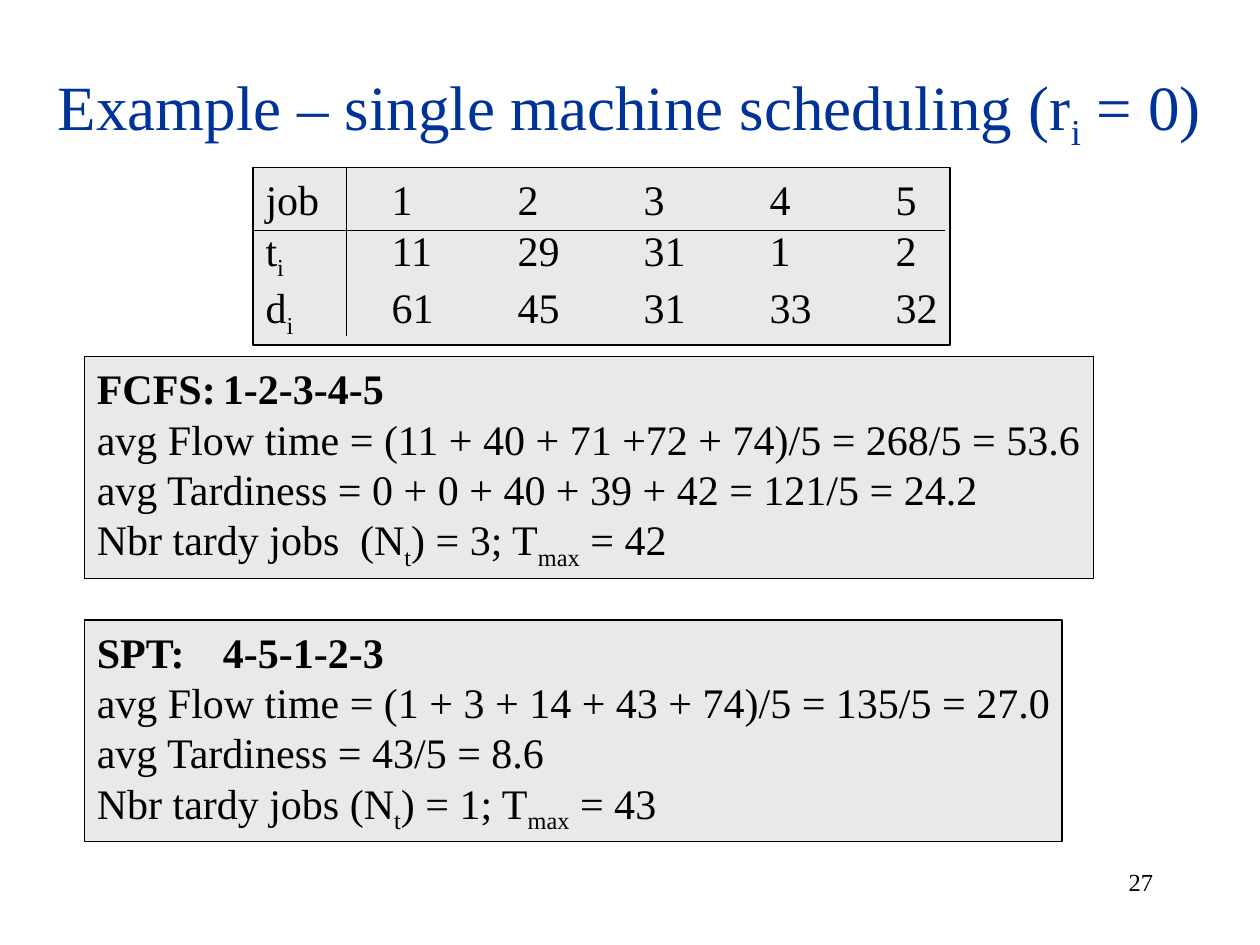
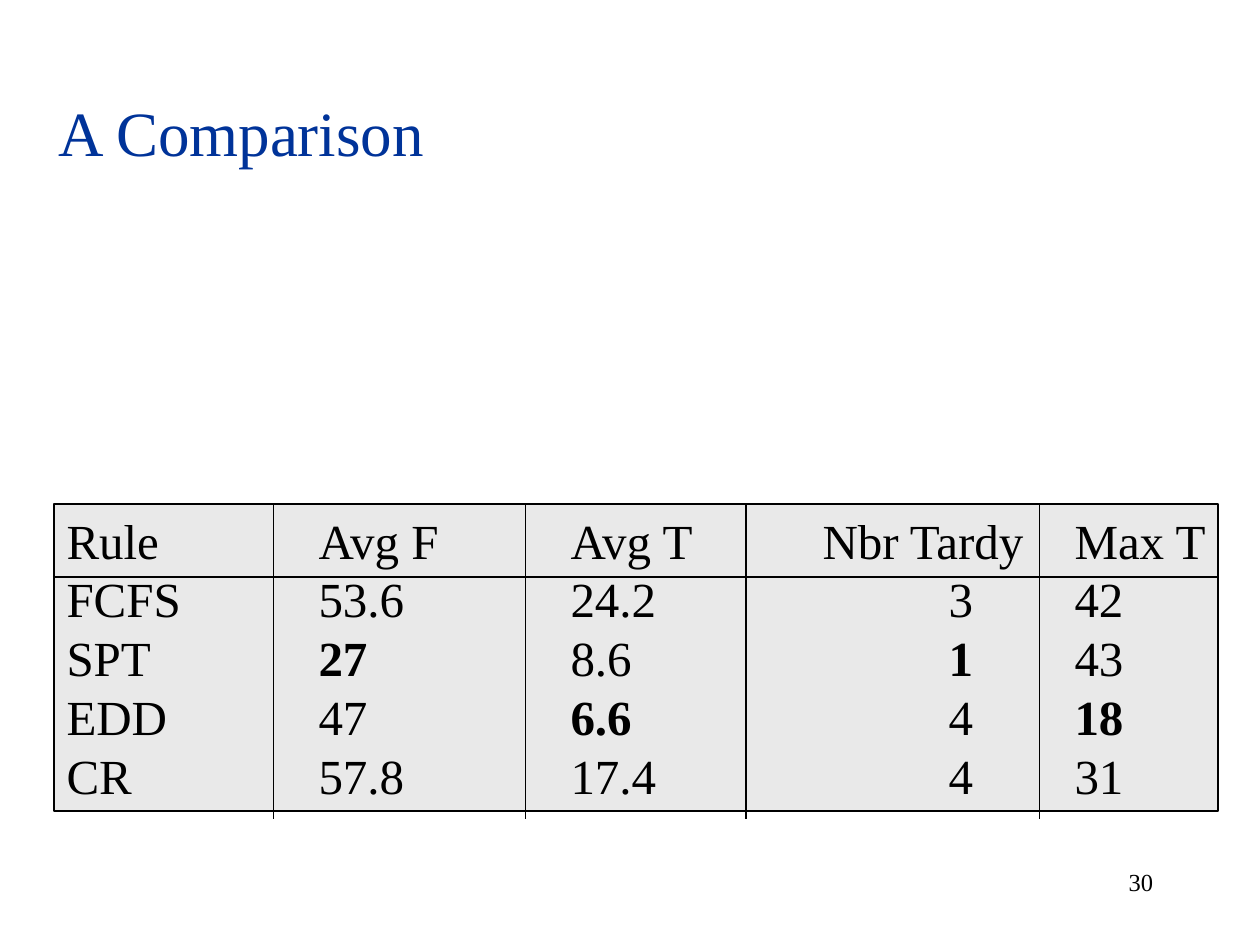
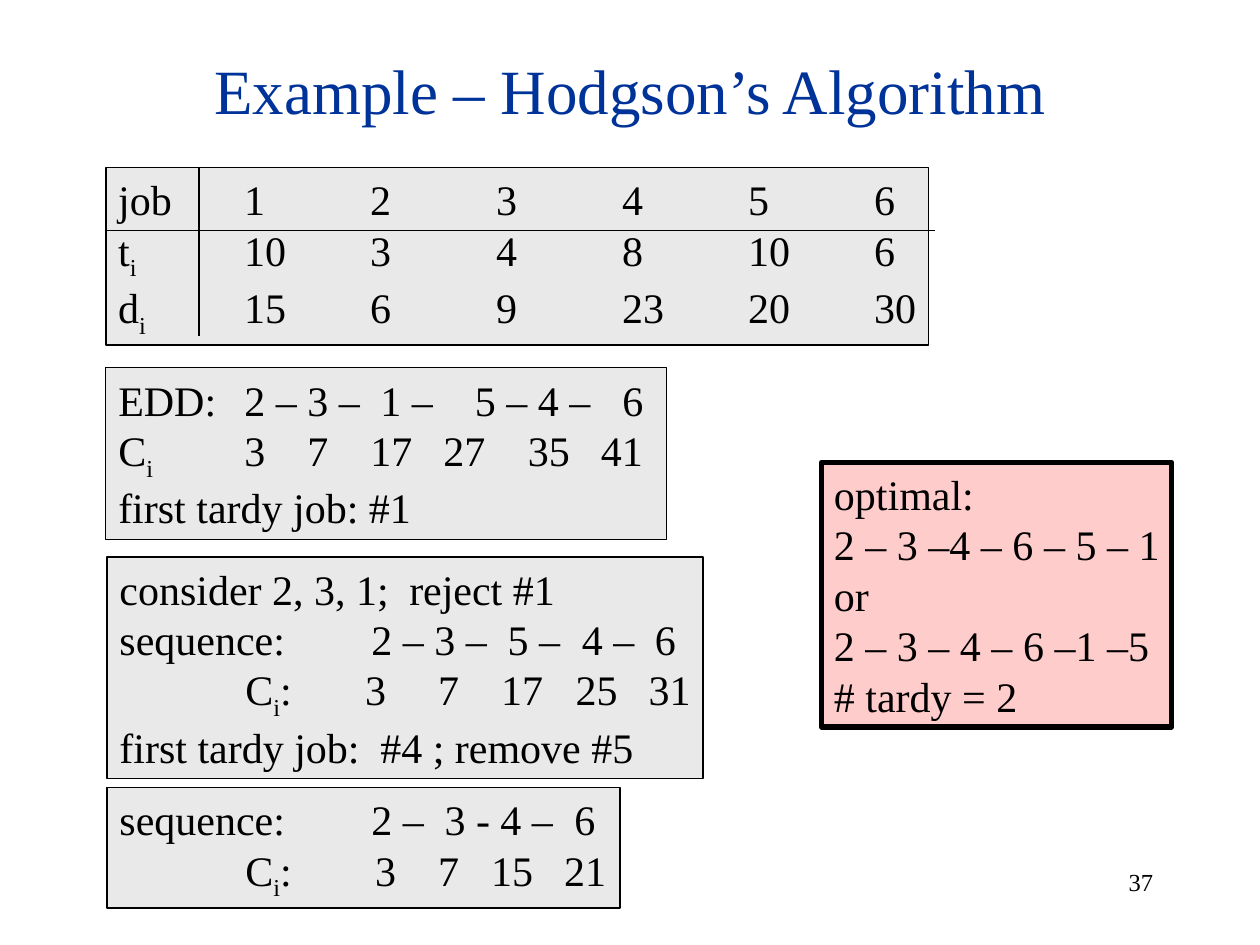
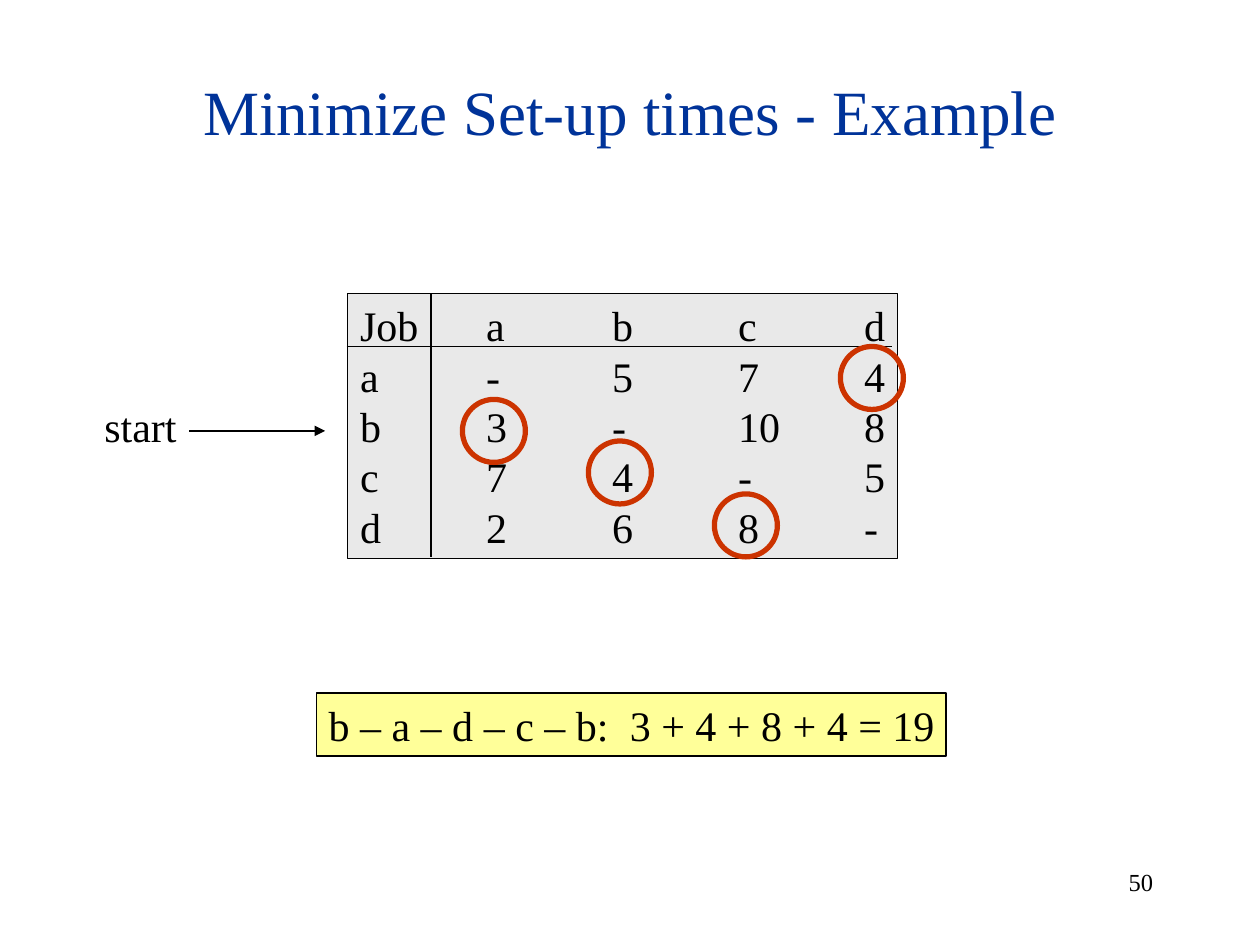
from lxml import etree
from pptx import Presentation
from pptx.dml.color import RGBColor as Rgb
from pptx.enum.shapes import MSO_CONNECTOR as Conn, MSO_SHAPE as Kind
from pptx.enum.text import MSO_ANCHOR as Anchor, PP_ALIGN as Align
from pptx.oxml.ns import qn
from pptx.util import Pt

SCALE = 9144
FONT = "Times New Roman"
BLACK = Rgb(0x00, 0x00, 0x00)
NAVY = Rgb(0x00, 0x33, 0x99)
GREY = Rgb(0xE9, 0xE9, 0xE9)
PINK = Rgb(0xFF, 0xCC, 0xCC)
CREAM = Rgb(0xFF, 0xFF, 0x99)
RED = Rgb(0xCC, 0x33, 0x00)
STOPS = range(100, 800, 100)


def px(*vals):
    return [val * SCALE for val in vals]


def sub(text):
    return text, "sub"


def bold(text):
    return text, "bold"


def row(*runs, stops=STOPS):
    return runs, stops


def set_tabs(para, stops):
    tabs = etree.SubElement(para._p.get_or_add_pPr(), qn("a:tabLst"))
    for stop in px(*stops):
        etree.SubElement(tabs, qn("a:tab"), pos=str(stop), algn="l")


def add_run(para, item, size, color):
    text, style = (item, "") if isinstance(item, str) else item
    run = para.add_run()
    run.text = text
    font = run.font
    font.name, font.size, font.color.rgb = FONT, Pt(size), color
    font.bold = style == "bold"
    if style == "sub":
        font._element.set("baseline", "-25000")


def fill_text(shape, rows, size=24, color=BLACK, align=Align.LEFT,
              anchor=Anchor.TOP, sides=(10, 0)):
    frame = shape.text_frame
    frame.word_wrap = True
    frame.vertical_anchor = anchor
    frame.margin_left, frame.margin_right = px(*sides)
    frame.margin_top, frame.margin_bottom = px(5, 5)
    for num, (runs, stops) in enumerate(rows):
        para = frame.add_paragraph() if num else frame.paragraphs[0]
        para.alignment = align
        if any("\t" in (item if isinstance(item, str) else item[0]) for item in runs):
            set_tabs(para, stops)
        for item in runs:
            add_run(para, item, size, color)


def label(slide, place, text, **style):
    fill_text(slide.shapes.add_textbox(*px(*place)), [row(text)], **style)


def outline(slide, kind, place, line, width):
    shape = slide.shapes.add_shape(kind, *px(*place))
    shape.shadow.inherit = False
    shape.line.color.rgb = line
    shape.line.width = Pt(width)
    return shape


def box(slide, place, rows, fill=GREY, width=0.75, size=24):
    shape = outline(slide, Kind.RECTANGLE, place, BLACK, width)
    shape.fill.solid()
    shape.fill.fore_color.rgb = fill
    fill_text(shape, rows, size)


def ring(slide, left, top):
    outline(slide, Kind.OVAL, (left, top, 50, 50), RED, 3).fill.background()


def rule(slide, *ends, arrow=False):
    link = slide.shapes.add_connector(Conn.STRAIGHT, *px(*ends))
    link.line.color.rgb = BLACK
    link.line.width = Pt(0.75)
    if arrow:
        etree.SubElement(link.line._get_or_add_ln(), qn("a:tailEnd"), type="triangle")
    etree.SubElement(link._element.spPr, qn("a:effectLst"))


def job_grid(slide, left, width, right, jobs, times, dues):
    box(slide, (left, 133, width, 141), [
        row("\t".join(["job", *jobs])),
        row("t", sub("i"), "\t" + "\t".join(times)),
        row("d", sub("i"), "\t" + "\t".join(dues)),
    ], width=1)
    rule(slide, left - 1, 183, right, 183)
    rule(slide, left + 74, 133, left + 74, 267)


def new_slide(deck, title, place, page):
    slide = deck.slides.add_slide(deck.slide_layouts[6])
    label(slide, (717, 683, 208, 50), page, size=14, align=Align.RIGHT, sides=(10, 10))
    shape = slide.shapes.add_textbox(*px(*place))
    fill_text(shape, [row(*title)], size=36, color=NAVY, align=Align.CENTER,
              anchor=Anchor.MIDDLE, sides=(0, 0))
    return slide


def single(deck):
    title = "Example – single machine scheduling (r", sub("i"), " = 0)"
    slide = new_slide(deck, title, (33, 50, 933, 75), "27")
    job_grid(slide, 201, 553, 750, "12345",
             ["11", "29", "31", "1", "2"], ["61", "45", "31", "33", "32"])
    for top, width, name, flow, tardy, gap, count, late in (
        (283, 801, "FCFS:\t1-2-3-4-5",
         "(11 + 40 + 71 +72 + 74)/5 = 268/5 = 53.6",
         "0 + 0 + 40 + 39 + 42 = 121/5 = 24.2", "\t", 3, 42),
        (492, 776, "SPT:\t4-5-1-2-3",
         "(1 + 3 + 14 + 43 + 74)/5 = 135/5 = 27.0",
         "43/5 = 8.6", " ", 1, 43),
    ):
        box(slide, (67, top, width, 176), [
            row(bold(name)),
            row(f"avg Flow time = {flow}"),
            row(f"avg Tardiness = {tardy}"),
            row(f"Nbr tardy jobs{gap}(N", sub("t"), f") = {count}; T",
                sub("max"), f" = {late}", stops=[209]),
        ])


def compare(deck):
    slide = new_slide(deck, ["A Comparison"], (33, 67, 317, 75), "30")
    stops = [200, 400, 600, 700, 800]
    box(slide, (43, 400, 924, 244), [row(*runs, stops=stops) for runs in (
        ["Rule\tAvg F\tAvg T\tNbr Tardy\tMax T"],
        ["FCFS\t53.6\t24.2\t\t3\t42"],
        ["SPT\t", bold("27\t"), "8.6\t\t", bold("1\t"), "43"],
        ["EDD\t47\t", bold("6.6\t\t"), "4\t", bold("18")],
        ["CR\t57.8\t17.4\t\t4\t31"],
    )], width=1, size=28)
    rule(slide, 42, 458, 967, 458)
    for left in (217, 417, 592, 825):
        rule(slide, left, 400, left, 650)


def hodgson(deck):
    slide = new_slide(deck, ["Example – Hodgson’s Algorithm"], (75, 50, 850, 42), "37")
    job_grid(slide, 84, 653, 742, "123456",
             ["10", "3", "4", "8", "10", "6"], ["15", "6", "9", "23", "20", "30"])
    box(slide, (84, 292, 445, 136), [
        row("EDD:\t2 – 3 –\t1 –\t5 – 4 –\t6", stops=[100, 208, 283, 400]),
        row("C", sub("i"), "\t3\t7\t17\t27\t35\t41",
            stops=[100, 150, 200, 258, 325, 383]),
        row("first tardy job: #1"),
    ], width=0.5)
    box(slide, (85, 442, 473, 176), [
        row("consider 2, 3, 1;\treject #1", stops=[230]),
        row("sequence:\t2 – 3 –\t5 –\t4 –\t6", stops=[200, 308, 367, 425]),
        row("\tC", sub("i"), ":\t3\t7\t17\t25\t31",
            stops=[100, 195, 253, 303, 362, 420]),
        row("first tardy job:\t#4 ; remove #5", stops=[207]),
    ], width=1)
    box(slide, (85, 625, 407, 96), [
        row("sequence:\t2 –\t3 - 4 –\t6", stops=[200, 258, 361]),
        row("\tC", sub("i"), ":\t3\t7\t15\t21", stops=[100, 203, 253, 295, 353]),
    ], width=1)
    best = ("optimal:", "2 – 3 –4 – 6 – 5 – 1", "or", "2 – 3 – 4 – 6 –1 –5",
            "# tardy = 2")
    box(slide, (652, 367, 278, 210), [row(text) for text in best], PINK, 3)


def setup(deck):
    slide = new_slide(deck, ["Minimize Set-up times - Example"], (75, 50, 850, 75), "50")
    costs = ("Job\ta\tb\tc\td", "a\t-\t5\t7\t4", "b\t3\t-\t10\t8",
             "c\t7\t4\t-\t5", "d\t2\t6\t8\t-")
    box(slide, (276, 233, 436, 210), [row(text) for text in costs], width=0.5)
    rule(slide, 275, 275, 708, 275)
    rule(slide, 342, 233, 342, 442)
    label(slide, (73, 313, 77, 50), "start")
    rule(slide, 150, 342, 258, 342, arrow=True)
    for col, top in enumerate((317, 350, 392, 275)):
        ring(slide, 367 + 100 * col, top)
    box(slide, (251, 550, 500, 50),
        [row("b – a – d – c – b:\t3 + 4 + 8 + 4 = 19", stops=[239])], CREAM)


def main():
    deck = Presentation()
    deck.slide_width, deck.slide_height = px(1000, 750)
    for build in (single, compare, hodgson, setup):
        build(deck)
    deck.save("out.pptx")


if __name__ == "__main__":
    main()
